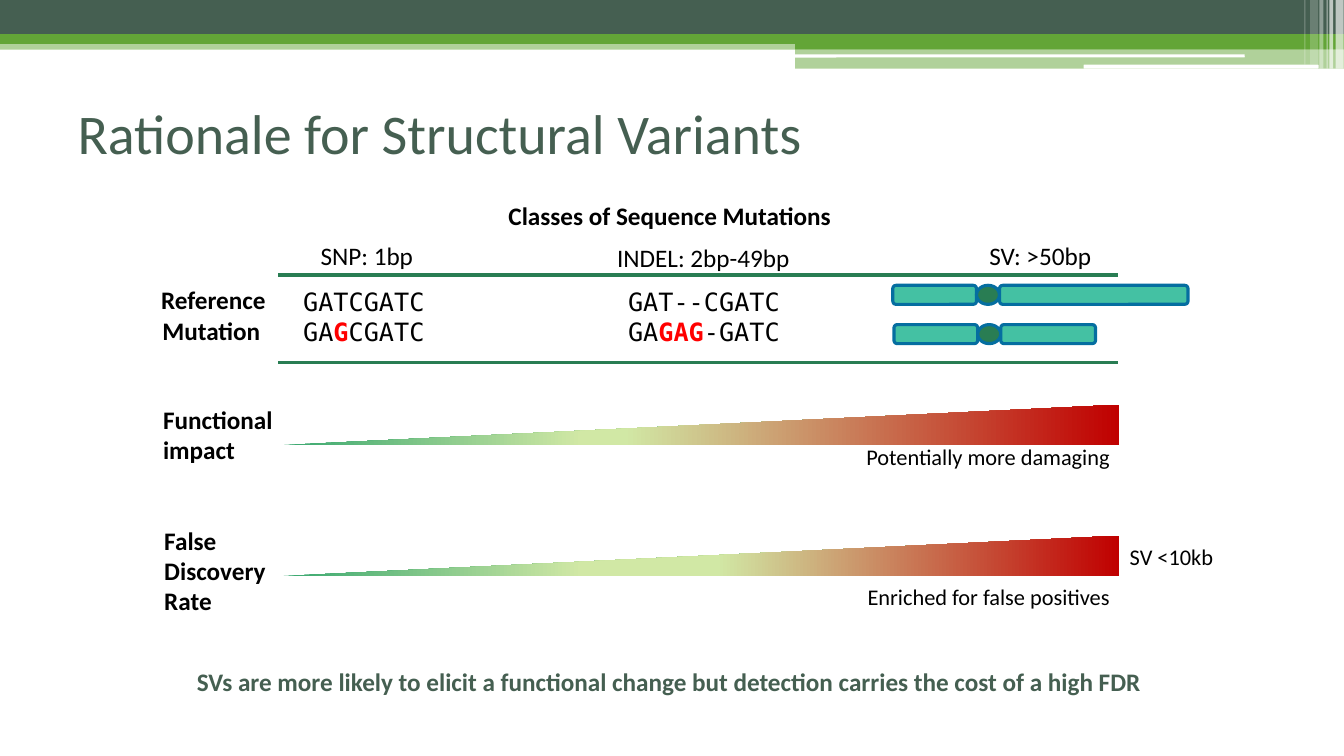
from lxml import etree
from pptx import Presentation
from pptx.dml.color import RGBColor
from pptx.enum.shapes import MSO_CONNECTOR, MSO_SHAPE
from pptx.enum.text import MSO_ANCHOR, PP_ALIGN
from pptx.oxml import parse_xml
from pptx.oxml.ns import nsdecls, qn
from pptx.util import Cm, Pt

RECTANGLE = MSO_SHAPE.RECTANGLE
ROUNDED = MSO_SHAPE.ROUNDED_RECTANGLE
OVAL = MSO_SHAPE.OVAL
TRIANGLE = MSO_SHAPE.ISOSCELES_TRIANGLE
STRAIGHT = MSO_CONNECTOR.STRAIGHT
LEFT, CENTER, RIGHT = PP_ALIGN.LEFT, PP_ALIGN.CENTER, PP_ALIGN.RIGHT
MIDDLE = MSO_ANCHOR.MIDDLE

WHITE = RGBColor(0xFF, 0xFF, 0xFF)
BLACK = RGBColor(0x00, 0x00, 0x00)
RED = RGBColor(0xFF, 0x00, 0x00)
SLATE = RGBColor(0x45, 0x5F, 0x51)
LEAF = RGBColor(0x63, 0xA5, 0x37)
TEAL = RGBColor(0x44, 0xC1, 0xA3)
PINE = RGBColor(0x29, 0x7D, 0x53)
BLUE = RGBColor(0x05, 0x6E, 0xA0)
MINT = RGBColor(0x37, 0xA7, 0x6F)
LIME = RGBColor(0xD1, 0xE8, 0xA5)
CRIMSON = RGBColor(0xC0, 0x00, 0x00)

SANS = "Calibri"
MONO = "DejaVu Sans Mono"
SLIDE_WIDTH = 33.87


class SlideBuilder:
    def __init__(self, slide):
        self.slide = slide
        self.shapes = slide.shapes

    def title(self, text, left, top, width, height):
        title = self.shapes.title
        title.left, title.top = Cm(left), Cm(top)
        title.width, title.height = Cm(width), Cm(height)
        title.text_frame.text = text
        title.text_frame.vertical_anchor = MIDDLE
        paragraph = title.text_frame.paragraphs[0]
        paragraph.alignment = LEFT
        self.style(paragraph.font, 40, SANS, SLATE, False)

    def style(self, font, size, name, color, bold):
        font.size, font.name, font.bold = Pt(size), name, bold
        font.color.rgb = color

    def shape(self, kind, left, top, width, height, color, opacity=100, outline=None):
        shape = self.shapes.add_shape(kind, Cm(left), Cm(top), Cm(width), Cm(height))
        shape.shadow.inherit = False
        shape.fill.solid()
        shape.fill.fore_color.rgb = color
        if opacity < 100:
            fill_color = shape._element.spPr.find(".//" + qn("a:srgbClr"))
            etree.SubElement(fill_color, qn("a:alpha")).set("val", str(opacity * 1000))
        if outline is None:
            shape.line.fill.background()
        else:
            shape.line.color.rgb = outline
            shape.line.width = Pt(2.25)
        return shape

    def text(self, text, left, top, width, height, size=18, align=LEFT,
             bold=False, color=BLACK):
        box = self.shapes.add_textbox(Cm(left), Cm(top), Cm(width), Cm(height))
        box.text_frame.word_wrap = True
        box.text_frame.text = text
        paragraph = box.text_frame.paragraphs[0]
        paragraph.alignment = align
        self.style(paragraph.font, size, SANS, color, bold)
        return box

    def alignment_pair(self, reference, mutation, left, top, width, height, align):
        """Reference sequence above its mutation, given as (before, changed, after)."""
        frame = self.text(reference, left, top, width, height, align=align).text_frame
        mutated = frame.add_paragraph()
        mutated.alignment = align
        for paragraph in frame.paragraphs:
            self.style(paragraph.font, 18, MONO, BLACK, False)
        for part in mutation:
            mutated.add_run().text = part
        changed = mutated.runs[1].font
        changed.bold = True
        changed.color.rgb = RED

    def rule(self, left, right, y):
        line = self.shapes.add_connector(STRAIGHT, Cm(left), Cm(y), Cm(right), Cm(y))
        line.line.color.rgb = PINE
        line.line.width = Pt(2.25)
        etree.SubElement(line._element.spPr, qn("a:effectLst"))

    def chromosome(self, left, top, long_arm):
        for kind, width, color in ((ROUNDED, 2.11, TEAL), (OVAL, 0.58, PINE),
                                   (ROUNDED, long_arm, TEAL)):
            self.shape(kind, left, top, width, 0.48, color, outline=BLUE)
            left += width

    def wedge(self, left, top, length, height, plateau_end):
        """Triangle turned on its side, growing from left to right."""
        wedge = self.shape(TRIANGLE, left + (length - height) / 2,
                           top + (height - length) / 2, height, length, MINT)
        wedge.adjustments[0] = 1
        wedge.rotation = 270
        properties = wedge._element.spPr
        properties.find(qn("a:xfrm")).set("flipH", "1")
        stops = "".join(
            f'<a:gs pos="{position * 1000}"><a:srgbClr val="{color}"/></a:gs>'
            for position, color in ((0, MINT), (36, LIME), (plateau_end, LIME), (100, CRIMSON)))
        gradient = parse_xml(
            f'<a:gradFill {nsdecls("a")} rotWithShape="1"><a:gsLst>{stops}</a:gsLst>'
            '<a:lin ang="5400000" scaled="0"/></a:gradFill>')
        properties.replace(properties.find(qn("a:solidFill")), gradient)


def main():
    presentation = Presentation()
    presentation.slide_width = Cm(SLIDE_WIDTH)
    presentation.slide_height = Cm(19.05)
    builder = SlideBuilder(presentation.slides.add_slide(presentation.slide_layouts[5]))

    # Header bands
    for kind, left, top, width, height, color, opacity in (
            (RECTANGLE, 0, 1.02, SLIDE_WIDTH, 0.23, LEAF, 50),
            (RECTANGLE, 0, 0, SLIDE_WIDTH, 0.86, SLATE, 100),
            (RECTANGLE, 0, 0.86, SLIDE_WIDTH, 0.25, LEAF, 100),
            (RECTANGLE, 20.04, 0.99, 13.83, 0.25, LEAF, 100),
            (RECTANGLE, 20.04, 1.22, 13.83, 0.51, LEAF, 50),
            (ROUNDED, 20.02, 1.37, 11.35, 0.08, WHITE, 100),
            (ROUNDED, 27.31, 1.63, 5.92, 0.1, WHITE, 100)):
        builder.shape(kind, left, top, width, height, color, opacity)

    # Pale stripes at the right end of the header
    for left, width, height, opacity in (
            (33.66, 0.2, 1.73, 65), (33.5, 0.1, 1.73, 65), (33.43, 0.03, 1.73, 60),
            (33.25, 0.1, 1.73, 40), (33.02, 0.2, 1.63, 20), (32.87, 0.03, 1.63, 30)):
        builder.shape(RECTANGLE, left, 0, width, height, WHITE, opacity)

    builder.title("Rationale for Structural Variants", 1.7, 1.85, 30.48, 2.97)

    # Mutation classes
    builder.text("Classes of Sequence Mutations", 5.26, 4.93, 23.24, 1.02,
                 align=CENTER, bold=True)
    for heading, left, top, width in (("SNP: 1bp", 7.01, 5.94, 4.47),
                                      ("INDEL: 2bp-49bp", 15.06, 5.97, 5.33),
                                      ("SV: >50bp", 23.98, 5.94, 4.47)):
        builder.text(heading, left, top, width, 1.02, align=CENTER)
    for y in (6.93, 9.14):
        builder.rule(7.01, 28.17, y)
    builder.text("Reference", 3.81, 7.04, 5.05, 1.02, bold=True)
    builder.text("Mutation", 3.84, 7.82, 5.05, 1.02, bold=True)
    builder.alignment_pair("GATCGATC", ("GA", "G", "CGATC"), 7.39, 7.09, 3.68, 1.8, LEFT)
    builder.alignment_pair("GAT--CGATC", ("GA", "GAG", "-GATC"),
                           15.16, 7.09, 5.16, 1.8, CENTER)
    builder.chromosome(22.5, 7.19, 4.75)
    builder.chromosome(22.53, 8.18, 2.39)

    # Functional impact
    builder.wedge(7.05, 10.2, 21.16, 1.02, 41)
    builder.text("Functional impact", 3.86, 10.06, 4.19, 1.8, bold=True)
    builder.text("Potentially more damaging", 21.36, 11.05, 6.86, 0.94, 16, RIGHT)

    # False discovery rate
    builder.wedge(7.05, 13.5, 21.16, 1.02, 52)
    builder.text("False Discovery Rate", 3.89, 13.11, 4.19, 2.57, bold=True)
    builder.text("Enriched for false positives", 21.36, 14.58, 6.86, 1.63, 16, RIGHT)
    builder.text("SV <10kb", 28.22, 13.56, 3.71, 0.94, 16)

    # Conclusion
    conclusion = builder.text(
        "SVs are more likely to elicit a functional change "
        "but detection carries the cost of a high FDR",
        3.81, 16.66, 25.81, 1.32, align=CENTER, bold=True, color=SLATE)
    conclusion.text_frame.margin_left = Cm(0.55)

    presentation.save("out.pptx")


if __name__ == "__main__":
    main()
